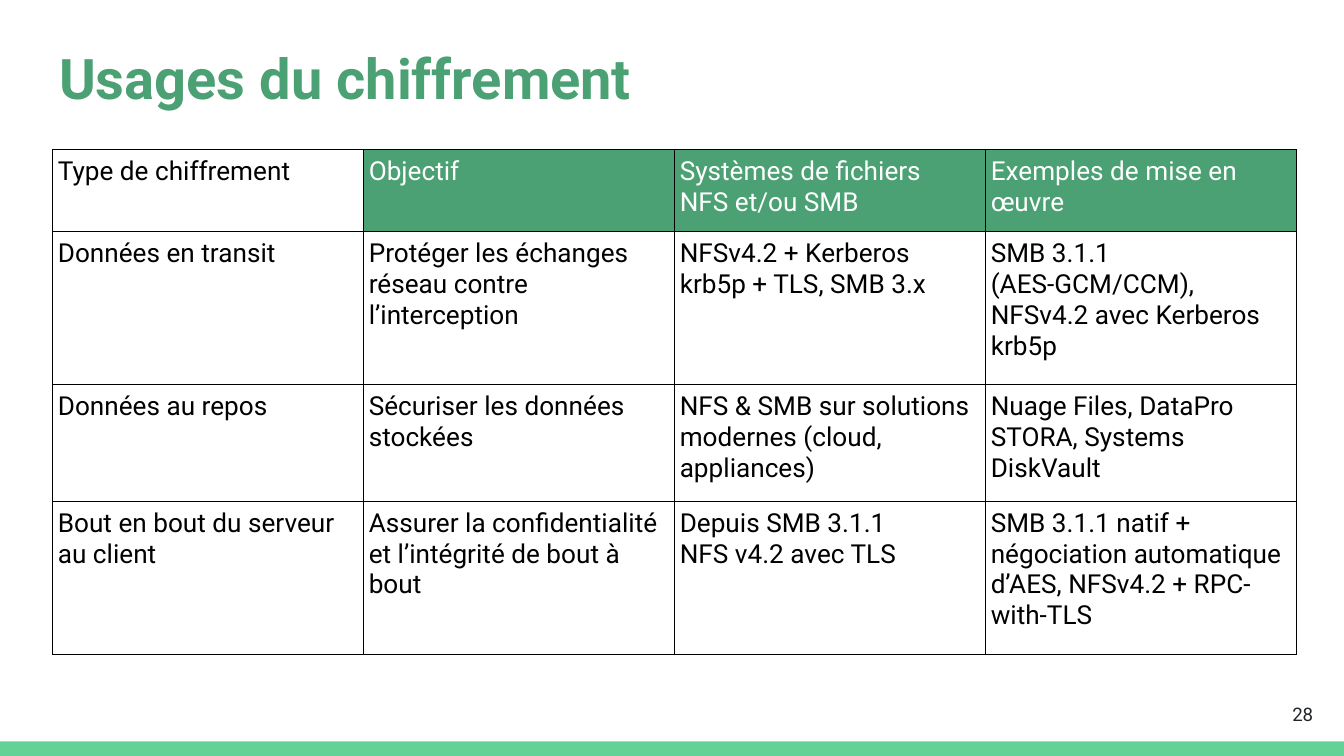
from lxml import etree
from pptx import Presentation
from pptx.dml.color import RGBColor
from pptx.enum.shapes import MSO_SHAPE
from pptx.enum.text import MSO_ANCHOR, PP_ALIGN
from pptx.oxml.ns import qn
from pptx.util import Pt

RECTANGLE = MSO_SHAPE.RECTANGLE
TOP, MIDDLE = MSO_ANCHOR.TOP, MSO_ANCHOR.MIDDLE
LEFT, RIGHT = PP_ALIGN.LEFT, PP_ALIGN.RIGHT
TITLE_ONLY = 5

GREEN, MINT, BLACK, WHITE, INK = "4BA173", "63D297", "000000", "FFFFFF", "202729"

ROWS = [
    ["Type de chiffrement", "Objectif", "Systèmes de fichiers\nNFS et/ou SMB",
     "Exemples de mise en œuvre"],
    ["Données en transit", "Protéger les échanges réseau contre l’interception",
     "NFSv4.2 + Kerberos krb5p + TLS, SMB 3.x",
     "SMB 3.1.1 (AES-GCM/CCM), NFSv4.2 avec Kerberos krb5p"],
    ["Données au repos", "Sécuriser les données stockées",
     "NFS & SMB sur solutions modernes (cloud, appliances)",
     "Nuage Files, DataPro STORA, Systems DiskVault"],
    ["Bout en bout du serveur au client",
     "Assurer la confidentialité et l’intégrité de bout à bout",
     "Depuis SMB 3.1.1\nNFS v4.2 avec TLS",
     "SMB 3.1.1 natif + négociation automatique d’AES, NFSv4.2 + RPC-with-TLS"],
]
ROW_HEIGHTS = [43.9, 82, 62.6, 82]


def rgb(value):
    return RGBColor.from_string(value)


def assign(target, values):
    for name, value in values.items():
        setattr(target, name, value)


class SlideBuilder:
    font_name = "Roboto"
    inset = 7.2
    cell_margins = {"margin_left": Pt(2.9), "margin_right": Pt(2.9),
                    "margin_top": Pt(3.6), "margin_bottom": Pt(3.6)}
    border_width = 0.57

    def __init__(self, deck):
        self.slide = deck.slides.add_slide(deck.slide_layouts[TITLE_ONLY])

    def set_text(self, paragraph, text, size, color, bold=False, align=LEFT):
        paragraph.text = text
        paragraph.alignment = align
        for run in paragraph.runs:
            assign(run.font, {"name": self.font_name, "size": Pt(size), "bold": bold})
            run.font.color.rgb = rgb(color)
        for line_break in paragraph._p.findall(qn("a:br")):
            etree.SubElement(line_break, qn("a:rPr"), sz=str(size * 100))

    def format_frame(self, frame, anchor):
        assign(frame, {"word_wrap": True, "vertical_anchor": anchor,
                       "margin_left": Pt(self.inset), "margin_right": Pt(self.inset),
                       "margin_top": Pt(self.inset), "margin_bottom": Pt(self.inset)})

    def title(self, text, left, top, width, height):
        heading = self.slide.shapes.title
        assign(heading, {"left": Pt(left), "top": Pt(top),
                         "width": Pt(width), "height": Pt(height)})
        self.format_frame(heading.text_frame, TOP)
        paragraph = heading.text_frame.paragraphs[0]
        self.set_text(paragraph, text, 30, GREEN, bold=True)
        assign(paragraph, {"line_spacing": 1.15, "space_before": Pt(0),
                           "space_after": Pt(12)})

    def bar(self, color, left, top, width, height):
        band = self.slide.shapes.add_shape(
            RECTANGLE, Pt(left), Pt(top), Pt(width), Pt(height))
        band.shadow.inherit = False
        band.fill.solid()
        band.fill.fore_color.rgb = rgb(color)
        band.line.fill.background()

    def page_number(self, text, left, top, width, height):
        number = self.slide.shapes.add_textbox(
            Pt(left), Pt(top), Pt(width), Pt(height))
        self.format_frame(number.text_frame, MIDDLE)
        self.set_text(number.text_frame.paragraphs[0], text, 10, INK, align=RIGHT)

    def border(self, cell):
        properties = cell._tc.get_or_add_tcPr()
        for side in ("lnL", "lnR", "lnT", "lnB"):
            line = etree.SubElement(properties, qn(f"a:{side}"),
                                    w=str(int(Pt(self.border_width))))
            fill = etree.SubElement(line, qn("a:solidFill"))
            etree.SubElement(fill, qn("a:srgbClr"), val=BLACK)

    def table(self, rows, left, top, column_width, row_heights):
        column_count = len(rows[0])
        grid = self.slide.shapes.add_table(
            len(rows), column_count, Pt(left), Pt(top),
            Pt(column_width * column_count), Pt(sum(row_heights))).table
        assign(grid, {"first_row": False, "horz_banding": False})
        for column in grid.columns:
            column.width = Pt(column_width)
        for r, (texts, height) in enumerate(zip(rows, row_heights)):
            grid.rows[r].height = Pt(height)
            for c, text in enumerate(texts):
                cell = grid.cell(r, c)
                is_header = r == 0 and c > 0
                assign(cell, self.cell_margins)
                self.border(cell)
                if is_header:
                    cell.fill.solid()
                    cell.fill.fore_color.rgb = rgb(GREEN)
                else:
                    cell.fill.background()
                self.set_text(cell.text_frame.paragraphs[0], text, 14,
                              WHITE if is_header else BLACK)


def main():
    deck = Presentation()
    assign(deck, {"slide_width": Pt(720), "slide_height": Pt(405)})
    builder = SlideBuilder(deck)
    builder.bar(MINT, 0, 397.2, 720, 7.8)
    builder.title("Usages du chiffrement", 24.5, 10.8, 671, 45.4)
    builder.page_number("28", 667.4, 367.2, 43.2, 31)
    builder.table(ROWS, 28.1, 80, 166.6, ROW_HEIGHTS)
    deck.save("out.pptx")


if __name__ == "__main__":
    main()
